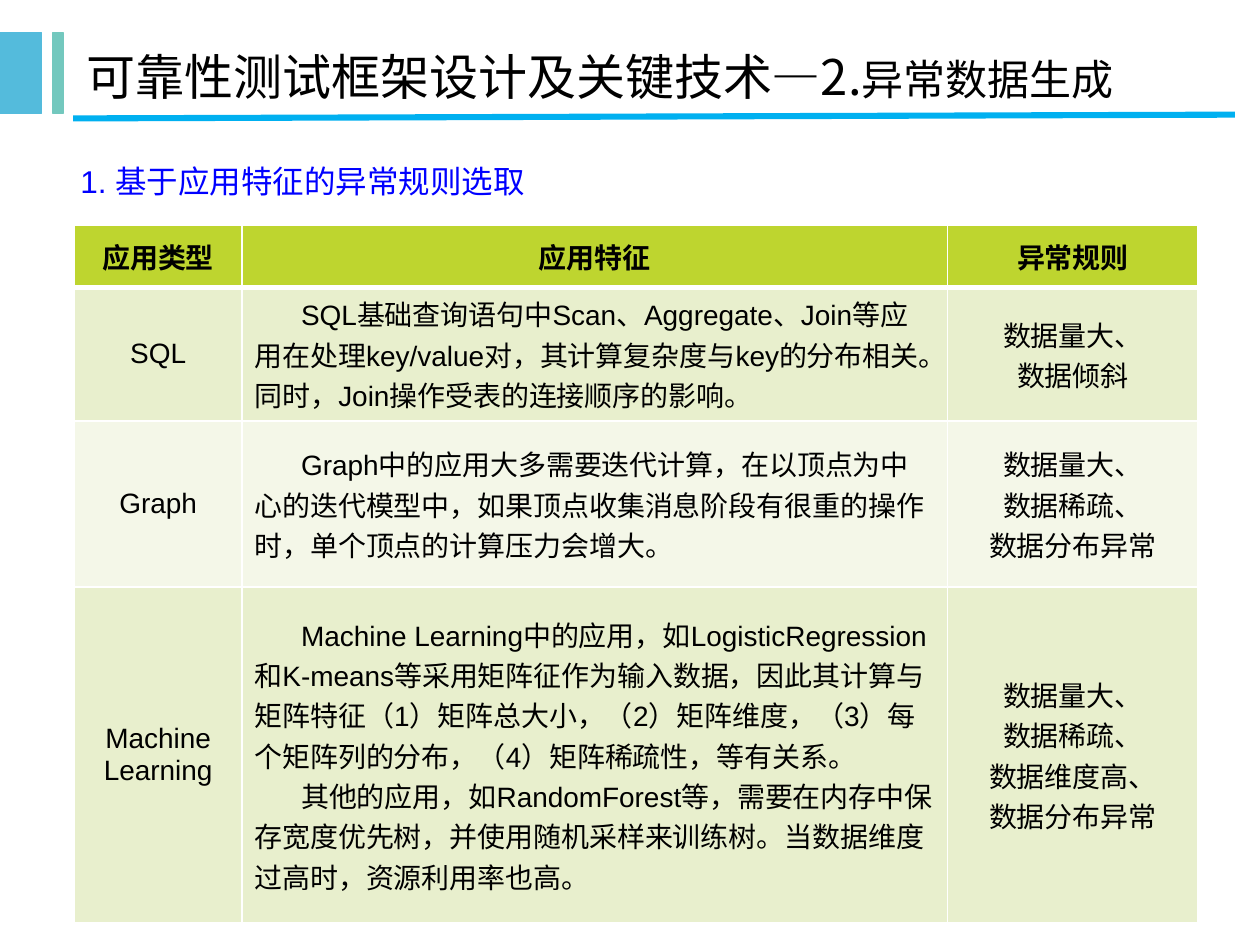
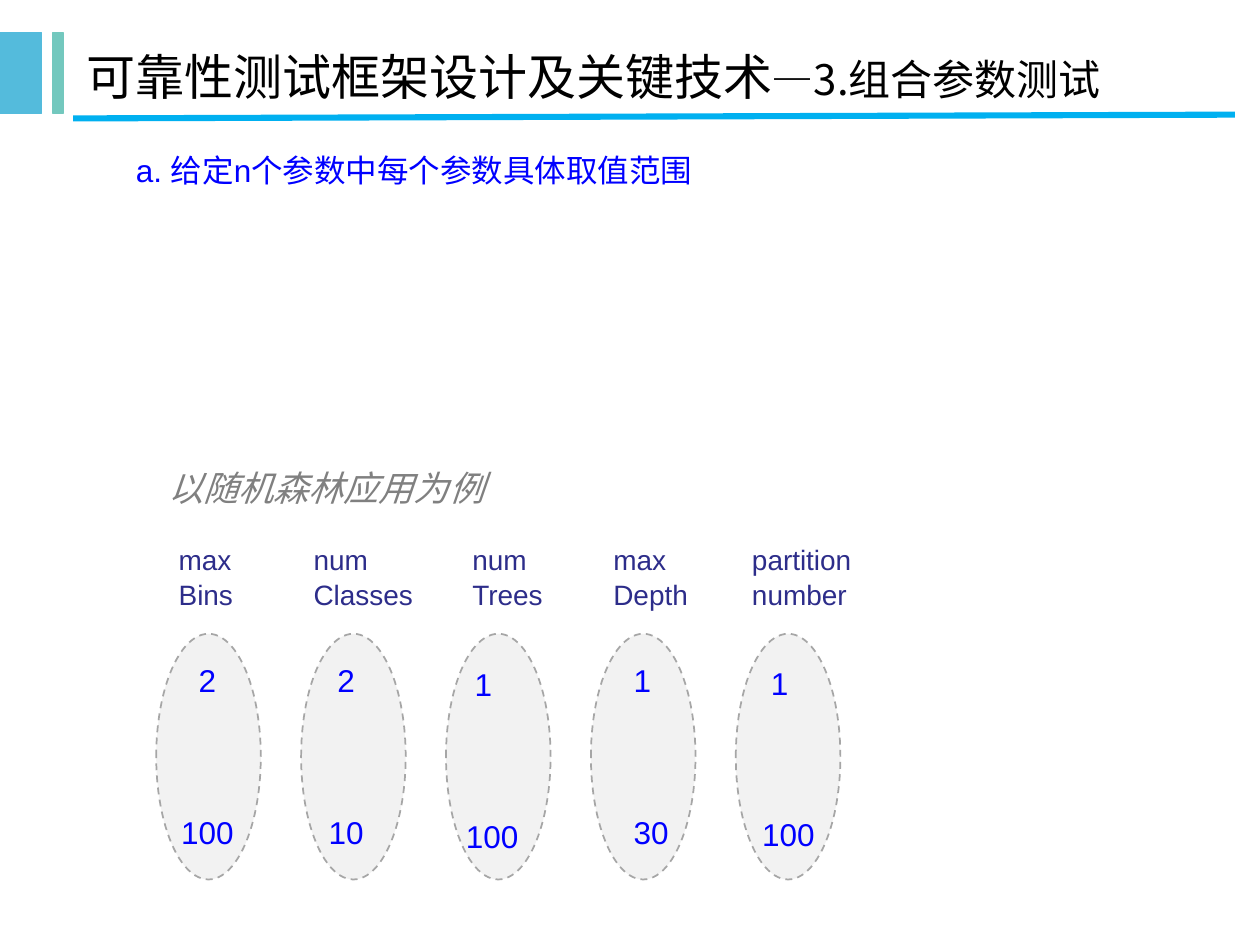
from dataclasses import dataclass

from lxml.etree import SubElement
from pptx import Presentation
from pptx.dml.color import RGBColor as RGB
from pptx.enum.dml import MSO_LINE_DASH_STYLE as DASH
from pptx.enum.shapes import MSO_CONNECTOR, MSO_SHAPE as SHAPE
from pptx.enum.text import MSO_ANCHOR as ANCHOR, MSO_AUTO_SIZE as AUTO, PP_ALIGN as ALIGN
from pptx.oxml.ns import qn
from pptx.util import Inches, Pt


@dataclass(frozen=True)
class Theme:
    latin: str = "Arial"
    cjk: str = "Noto Sans CJK SC"
    black: str = "000000"
    white: str = "FFFFFF"
    blue_band: str = "54BBDC"
    teal_band: str = "73C8BE"
    rule: str = "00B0F0"
    heading: str = "0000FF"
    note: str = "808080"
    label: str = "2D2D8A"
    oval_fill: str = "F2F2F2"
    oval_line: str = "A6A6A6"
    header_fill: str = "BED52F"
    row_fills: tuple = ("E8EFCD", "F4F7E8")
    title_size: int = 28
    subtitle_size: int = 24
    note_size: int = 20
    heading_size: int = 18
    text_size: int = 16


def color(value):
    return RGB.from_string(value)


class Deck:
    def __init__(self, theme):
        self.theme = theme
        self.prs = Presentation()
        self.prs.slide_width, self.prs.slide_height = Inches(10), Inches(7.5)
        self.s = None

    def slide(self, main, sub):
        t = self.theme
        self.s = self.prs.slides.add_slide(self.prs.slide_layouts[5])
        self.shape(SHAPE.RECTANGLE, 0, 0.26, 0.33, 0.64, t.blue_band, t.blue_band)
        self.shape(SHAPE.RECTANGLE, 0.42, 0.26, 0.08, 0.64, t.teal_band, t.teal_band)
        self.title(main, sub)
        self.line(0.58, 0.94, 9.8, 0.91, t.rule, 3.5)

    def style(self, r, size, fill, bold=False, italic=False, latin=None):
        f = r.font
        f.size, f.bold, f.italic = Pt(size), bold, italic
        f.color.rgb = color(fill)
        f.name = latin or self.theme.latin
        SubElement(r._r.get_or_add_rPr(), qn("a:ea")).set("typeface", self.theme.cjk)

    def title(self, main, sub):
        t = self.theme
        sp = self.s.shapes.title
        sp.left, sp.top, sp.width, sp.height = map(Inches, (0.59, 0.26, 8.91, 0.69))
        tf = sp.text_frame
        tf.auto_size = AUTO.NONE
        tf.vertical_anchor = ANCHOR.MIDDLE
        p = tf.paragraphs[0]
        p.alignment = ALIGN.LEFT
        for text, size in ((main, t.title_size), (sub, t.subtitle_size)):
            r = p.add_run()
            r.text = text
            self.style(r, size, t.black, latin=t.cjk)

    def shape(self, kind, x, y, w, h, fill, line, width=0.75, dash=None):
        sp = self.s.shapes.add_shape(kind, *map(Inches, (x, y, w, h)))
        sp.shadow.inherit = False
        sp.fill.solid()
        sp.fill.fore_color.rgb = color(fill)
        sp.line.color.rgb = color(line)
        sp.line.width = Pt(width)
        if dash:
            sp.line.dash_style = dash

    def line(self, x1, y1, x2, y2, fill, width):
        c = self.s.shapes.add_connector(MSO_CONNECTOR.STRAIGHT, *map(Inches, (x1, y1, x2, y2)))
        c.line.color.rgb = color(fill)
        c.line.width = Pt(width)
        SubElement(c.element.spPr, qn("a:effectLst"))

    def text(self, x, y, w, h, text, size, fill, italic=False, spacing=None):
        tf = self.s.shapes.add_textbox(*map(Inches, (x, y, w, h))).text_frame
        tf.word_wrap = True
        tf.text = text
        for p in tf.paragraphs:
            p.line_spacing = spacing
            for r in p.runs:
                self.style(r, size, fill, italic=italic)
        return tf

    def value_range(self, x, y, w, low, high, indent):
        tf = self.text(x, y, w, 1.6, f"{low}\n{high}", self.theme.heading_size, self.theme.heading)
        first, last = tf.paragraphs
        first._p.get_or_add_pPr().set("indent", str(Pt(indent)))
        last.space_before = Pt(65)

    def cell(self, cell, text, fill, align, bold=False, bottom=1, indent=0):
        t = self.theme
        cell.vertical_anchor = ANCHOR.MIDDLE
        cell.text = text
        for p in cell.text_frame.paragraphs:
            p.alignment = align
            p._p.get_or_add_pPr().set("indent", str(Inches(indent)))
            for r in p.runs:
                self.style(r, t.text_size, t.black, bold)
        tcPr = cell._tc.get_or_add_tcPr()
        for tag, width in (("lnL", 1), ("lnR", 1), ("lnT", 1), ("lnB", bottom)):
            ln = SubElement(tcPr, qn(f"a:{tag}"), w=str(Pt(width)))
            SubElement(SubElement(ln, qn("a:solidFill")), qn("a:srgbClr"), val=t.white)
        cell.fill.solid()
        cell.fill.fore_color.rgb = color(fill)

    def table(self, x, y, widths, heights, rows):
        t = self.theme
        size = map(Inches, (x, y, sum(widths), sum(heights)))
        table = self.s.shapes.add_table(len(rows), len(widths), *size).table
        for column, width in zip(table.columns, widths):
            column.width = Inches(width)
        for i, (row, height, texts) in enumerate(zip(table.rows, heights, rows)):
            row.height = Inches(height)
            for j, text in enumerate(texts):
                if i == 0:
                    self.cell(row.cells[j], text, t.header_fill, ALIGN.CENTER, True, 3)
                elif j == 1:
                    self.cell(row.cells[j], text, t.row_fills[(i - 1) % 2], ALIGN.LEFT, indent=0.37)
                else:
                    self.cell(row.cells[j], text, t.row_fills[(i - 1) % 2], ALIGN.CENTER)


RULES = [
    ("应用类型", "应用特征", "异常规则"),
    ("SQL",
     "SQL基础查询语句中Scan、Aggregate、Join等应用在处理key/value对，其计算复杂度与key的分布相关。"
     "同时，Join操作受表的连接顺序的影响。",
     "数据量大、\n数据倾斜"),
    ("Graph",
     "Graph中的应用大多需要迭代计算，在以顶点为中心的迭代模型中，"
     "如果顶点收集消息阶段有很重的操作时，单个顶点的计算压力会增大。",
     "数据量大、\n数据稀疏、\n数据分布异常"),
    ("Machine Learning",
     "Machine Learning中的应用，如LogisticRegression和K-means等采用矩阵征作为输入数据，"
     "因此其计算与矩阵特征（1）矩阵总大小，（2）矩阵维度，（3）每个矩阵列的分布，"
     "（4）矩阵稀疏性，等有关系。\n"
     "其他的应用，如RandomForest等，需要在内存中保存宽度优先树，并使用随机采样来训练树。"
     "当数据维度过高时，资源利用率也高。",
     "数据量大、\n数据稀疏、\n数据维度高、\n数据分布异常"),
]

PARAMETERS = [
    ("max\nBins", 1.32, 1.34, 5.2, 2, 100, 10),
    ("num\nClasses", 2.39, 2.51, 5.2, 2, 10, 5),
    ("num\nTrees", 3.65, 3.6, 5.23, 1, 100, 5),
    ("max\nDepth", 4.77, 4.93, 5.2, 1, 30, 0),
    ("partition number", 5.87, 5.95, 5.22, 1, 100, 5),
]


def rules_slide(deck):
    t = deck.theme
    deck.slide("可靠性测试框架设计及关键技术—2.", "异常数据生成")
    deck.table(0.59, 1.79, (1.33, 5.6, 1.99), (0.49, 0.68, 1.32, 2.41), RULES)
    deck.text(0.54, 1.24, 8.92, 0.4, "1. 基于应用特征的异常规则选取", t.heading_size, t.heading)


def parameters_slide(deck):
    t = deck.theme
    deck.slide("可靠性测试框架设计及关键技术", "—3.组合参数测试")
    deck.text(0.98, 1.15, 8.19, 0.4, "a. 给定n个参数中每个参数具体取值范围", t.heading_size, t.heading)
    deck.text(1.24, 3.65, 4, 0.43, "以随机森林应用为例", t.note_size, t.note, italic=True)
    for i, (name, label_x, value_x, value_y, low, high, indent) in enumerate(PARAMETERS):
        deck.shape(SHAPE.OVAL, 1.24 + 1.15 * i, 5.03, 0.83, 1.95, t.oval_fill, t.oval_line, 1, DASH.DASH)
        deck.text(label_x, 4.24, 1.26, 0.63, name, t.text_size, t.label, spacing=1.05)
        deck.value_range(value_x, value_y, 0.8, low, high, indent)


def main():
    deck = Deck(Theme())
    rules_slide(deck)
    parameters_slide(deck)
    deck.prs.save("out.pptx")


if __name__ == "__main__":
    main()
